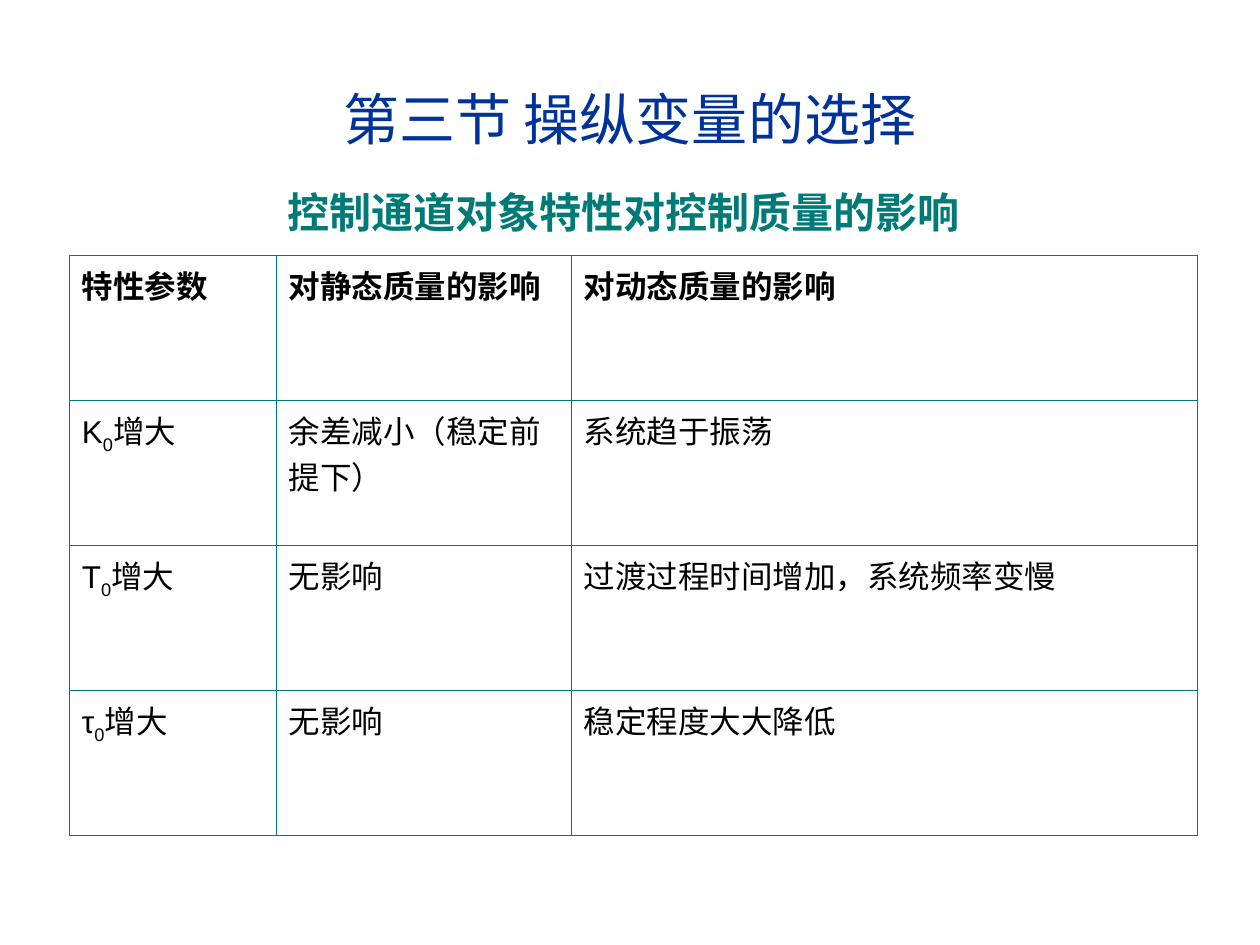
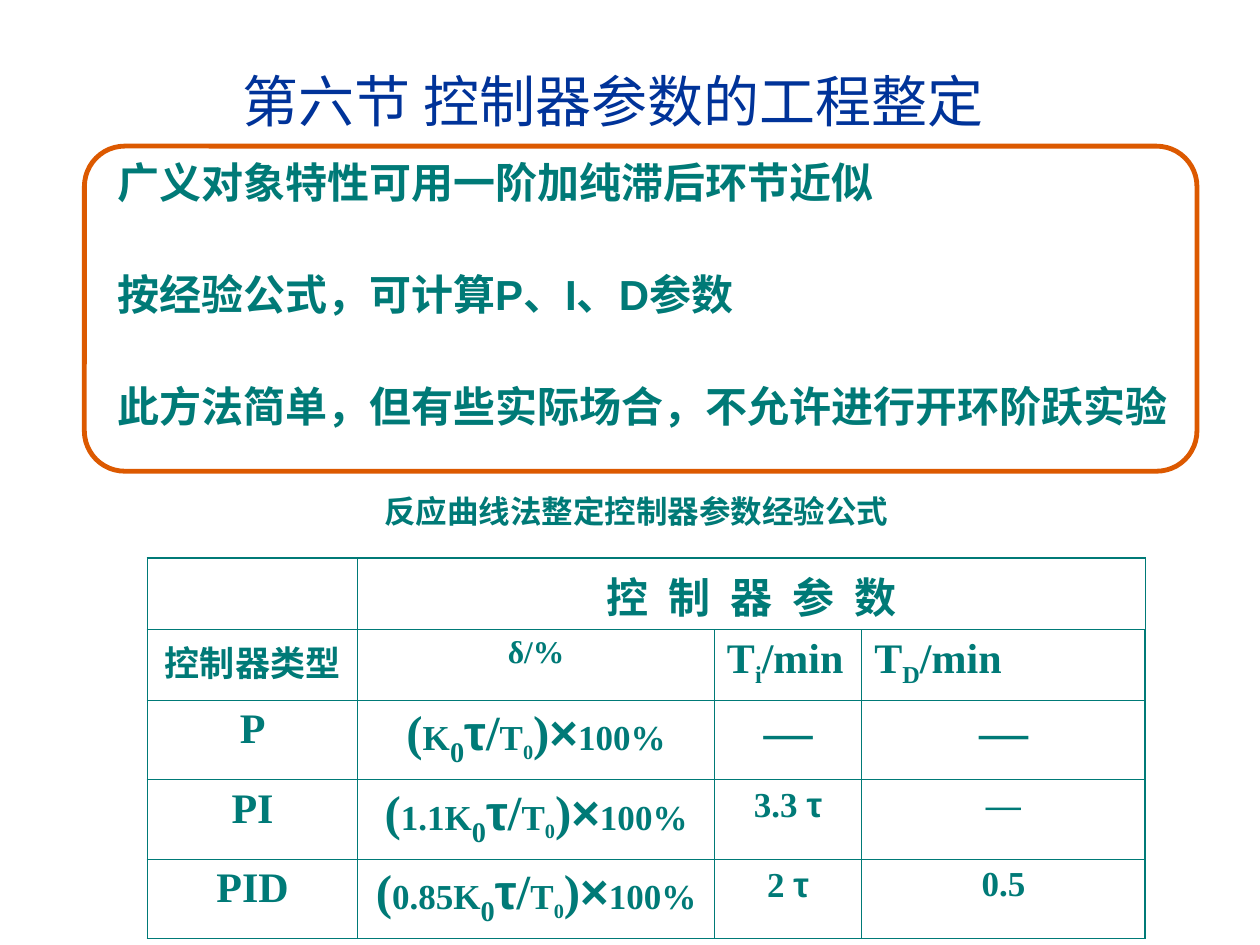
from lxml import etree
from pptx import Presentation
from pptx.dml.color import RGBColor
from pptx.enum.shapes import MSO_SHAPE
from pptx.enum.text import MSO_ANCHOR, MSO_AUTO_SIZE, PP_ALIGN
from pptx.oxml.ns import qn
from pptx.util import Inches, Pt

LEFT, CENTER, JUSTIFY = PP_ALIGN.LEFT, PP_ALIGN.CENTER, PP_ALIGN.JUSTIFY
TOP, MIDDLE = MSO_ANCHOR.TOP, MSO_ANCHOR.MIDDLE
NO_AUTOFIT = MSO_AUTO_SIZE.NONE
ROUNDED = MSO_SHAPE.ROUNDED_RECTANGLE

# Shared look
COLORS = {"title": "003399", "teal": "007A77", "ink": "000000", "frame": "DC5900"}
SANS, SERIF = "Arial", "Times New Roman"
TITLE = {"size": 32, "name": SANS, "color": "title", "bold": False}
STATEMENT = {"size": 24, "name": SANS, "color": "teal", "bold": True}
CAPTION = {**STATEMENT, "size": 18}
EFFECT = {"size": 18, "name": SANS, "color": "ink", "bold": False}
TUNING = {"size": 24, "name": SERIF, "color": "teal", "bold": True}
SUB = {"baseline": -25000}
THIN, THICK = 0.45, 1.08
TIGHT = 0.9

# Square grid: 100 columns by 75 rows on the slide
SLIDE_WIDTH, SLIDE_HEIGHT = Inches(10), Inches(7.5)
UNIT = SLIDE_WIDTH / 100


def grid(*lengths):
    return [round(length * UNIT) for length in lengths]


def place(shape, box):
    for side, length in zip(("left", "top", "width", "height"), grid(*box)):
        setattr(shape, side, length)


# Text: content is a string or a list of (text, changed format) runs
def write(paragraph, content, style, align=LEFT):
    paragraph.alignment = align
    runs = [(content, {})] if isinstance(content, str) else content
    for text, changes in runs:
        run = paragraph.add_run()
        run.text = text
        look = {**style, **changes}
        font = run.font
        font.color.rgb = RGBColor.from_string(COLORS[look["color"]])
        for key, value in (("size", Pt(look["size"])), ("name", look["name"]), ("bold", look["bold"])):
            setattr(font, key, value)
        for key in ("baseline", "spc"):
            if key in look:
                run._r.get_or_add_rPr().set(key, str(look[key]))


def add_title(slide, text, box, anchor, spacing):
    title = slide.shapes.title
    place(title, box)
    frame = title.text_frame
    frame.auto_size, frame.vertical_anchor = NO_AUTOFIT, anchor
    frame.paragraphs[0].line_spacing = spacing
    write(frame.paragraphs[0], text, TITLE, CENTER)


def add_label(slide, text, box, style):
    frame = slide.shapes.add_textbox(*grid(*box)).text_frame
    frame.word_wrap = False
    frame.paragraphs[0].line_spacing = TIGHT
    write(frame.paragraphs[0], text, style, CENTER)


def add_statements(slide, statements, box, gap):
    body = slide.placeholders[1]
    place(body, box)
    frame = body.text_frame
    frame.auto_size, frame.vertical_anchor = NO_AUTOFIT, TOP
    for index, statement in enumerate(statements):
        paragraph = frame.add_paragraph() if index else frame.paragraphs[0]
        paragraph.line_spacing = TIGHT
        paragraph.space_before = Pt(gap if index else 0)
        properties = paragraph._p.get_or_add_pPr()
        properties.set("marL", str(Inches(0.38)))
        properties.set("indent", str(Inches(-0.38)))
        etree.SubElement(properties, qn("a:buNone"))
        write(paragraph, statement, STATEMENT, JUSTIFY)


def add_frame(slide, box):
    outline = slide.shapes.add_shape(ROUNDED, *grid(*box))
    outline.shadow.inherit = False
    outline.adjustments[0] = 0.124
    outline.fill.background()
    outline.line.color.rgb = RGBColor.from_string(COLORS["frame"])
    outline.line.width = Pt(2.75)


# Tables
def set_borders(cell, widths):
    properties = cell._tc.get_or_add_tcPr()
    for side, width in zip("LRTB", widths):
        line = etree.SubElement(properties, qn(f"a:ln{side}"), w=str(Pt(width)))
        fill = etree.SubElement(line, qn("a:solidFill"))
        etree.SubElement(fill, qn("a:srgbClr"), val=COLORS["teal"])


def add_grid_table(slide, corner, columns, rows, outer):
    size = sum(columns), sum(rows)
    table = slide.shapes.add_table(len(rows), len(columns), *grid(*corner, *size)).table
    table.first_row = table.horz_banding = False
    for tracks, lengths, side in ((table.columns, columns, "width"), (table.rows, rows, "height")):
        for track, length in zip(tracks, grid(*lengths)):
            setattr(track, side, length)
    last_row, last_column = len(rows) - 1, len(columns) - 1
    for r in range(len(rows)):
        for c in range(len(columns)):
            cell = table.cell(r, c)
            edges = (c == 0, c == last_column, r == 0, r == last_row)
            set_borders(cell, [outer if edge else THIN for edge in edges])
            cell.fill.background()
    return table


def fill_cell(table, row, column, content, style, align=LEFT):
    write(table.cell(row, column).text_frame.paragraphs[0], content, style, align)


# Formulas
def increase(symbol):
    return [(symbol, {}), ("0", SUB), ("增大", {})]


def time_heading(index):
    return [("T", {}), (index, SUB), ("/min", {})]


def band_formula(gain):
    big, small = {"size": 28}, {"size": 20}
    return [("(", big), (gain, small), ("0", {**big, **SUB}), ("τ", {**big, "name": SANS}),
            ("/", big), ("T", small), ("0", {**small, **SUB}), (")", big),
            ("×", {**big, "name": SANS}), ("100%", small)]


def times_tau(factor):
    return [(factor + " ", {"size": 20}), ("τ", {"size": 20, "name": SANS})]


def build_variable_slide(deck):
    slide = deck.slides.add_slide(deck.slide_layouts[5])
    add_title(slide, "第三节 操纵变量的选择", (3.3, 3.1, 93.4, 12.5), MIDDLE, 1)
    add_label(slide, "控制通道对象特性对控制质量的影响", (20.3, 14.8, 58.4, 5), STATEMENT)
    effects = [
        ("特性参数", "对静态质量的影响", "对动态质量的影响"),
        (increase("K"), "余差减小（稳定前提下）", "系统趋于振荡"),
        (increase("T"), "无影响", "过渡过程时间增加，系统频率变慢"),
        (increase("τ"), "无影响", "稳定程度大大降低"),
    ]
    table = add_grid_table(slide, (5.5, 20.3), (16.4, 23.45, 49.7), [11.51] * len(effects), THIN)
    for r, row in enumerate(effects):
        for c, content in enumerate(row):
            fill_cell(table, r, c, content, {**EFFECT, "bold": r == 0})


def build_tuning_slide(deck):
    slide = deck.slides.add_slide(deck.slide_layouts[1])
    add_title(slide, "第六节 控制器参数的工程整定", (4.4, 5.4, 88.6, 8.7), TOP, TIGHT)
    add_statements(slide, ["广义对象特性可用一阶加纯滞后环节近似",
                           "按经验公式，可计算P、I、D参数",
                           "此方法简单，但有些实际场合，不允许进行开环阶跃实验"],
                   (8.3, 12.4, 86.7, 25.8), 38)
    add_frame(slide, (6.7, 11.6, 88.3, 25.8))
    add_label(slide, "反应曲线法整定控制器参数经验公式", (29.5, 38.9, 42, 4), CAPTION)

    table = add_grid_table(slide, (11.7, 44.3), (16.7, 28.3, 11.7, 22.5),
                           (5.65, 5.6, 6.3, 6.3, 6.3), THICK)
    table.cell(0, 1).merge(table.cell(0, 3))
    fill_cell(table, 0, 1, [("控 制 器 参 数", {"spc": 300})], TUNING, CENTER)
    headings = [([("控制器类型", {"size": 20})], CENTER), ([("δ/%", {"size": 18})], CENTER),
                (time_heading("i"), LEFT), (time_heading("D"), LEFT)]
    for c, (heading, align) in enumerate(headings):
        fill_cell(table, 1, c, heading, TUNING, align)
    wide_dash = [("—", {"size": 28})]
    controllers = [
        ("P", band_formula("K"), wide_dash, wide_dash),
        ("PI", band_formula("1.1K"), times_tau("3.3"), [("—", {"size": 20})]),
        ("PID", band_formula("0.85K"), times_tau("2"), [("0.5", {"size": 20})]),
    ]
    for r, row in enumerate(controllers, start=2):
        for c, content in enumerate(row):
            fill_cell(table, r, c, content, TUNING, CENTER)


def main():
    deck = Presentation()
    deck.slide_width, deck.slide_height = SLIDE_WIDTH, SLIDE_HEIGHT
    build_variable_slide(deck)
    build_tuning_slide(deck)
    deck.save("out.pptx")


if __name__ == "__main__":
    main()
